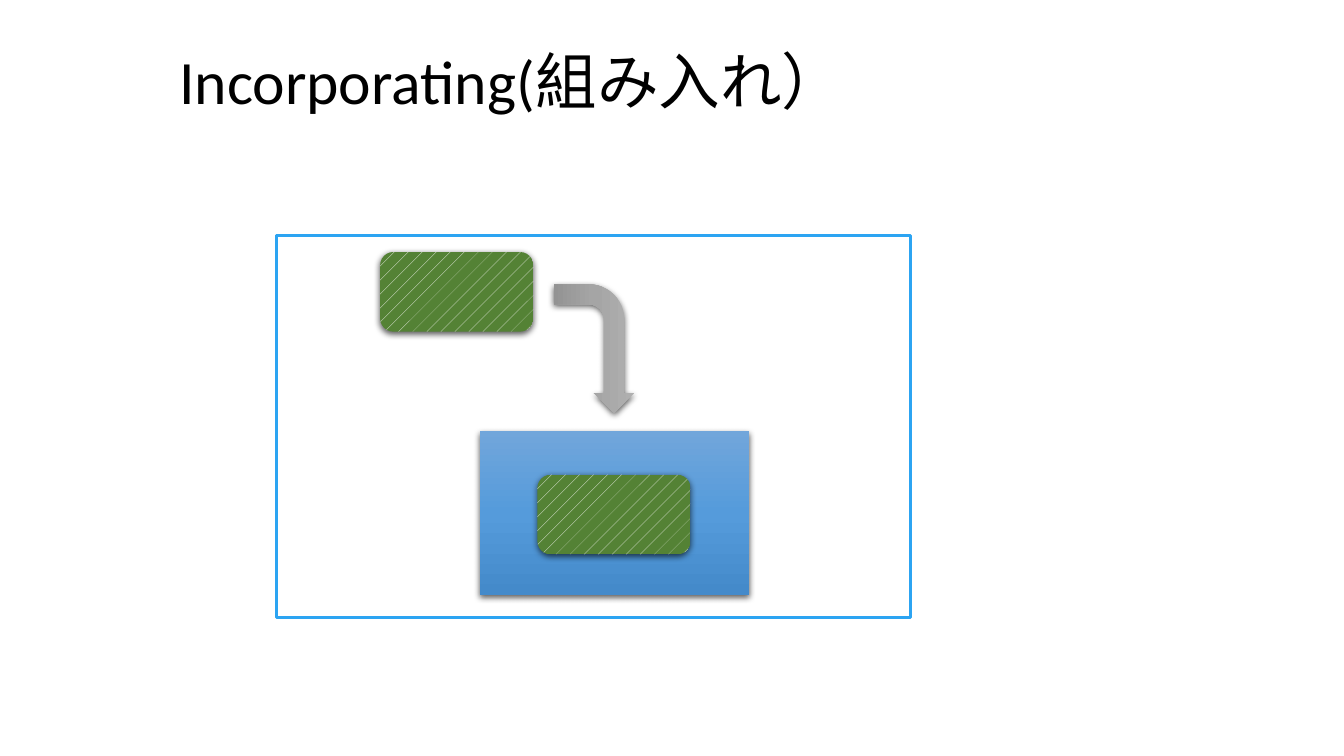
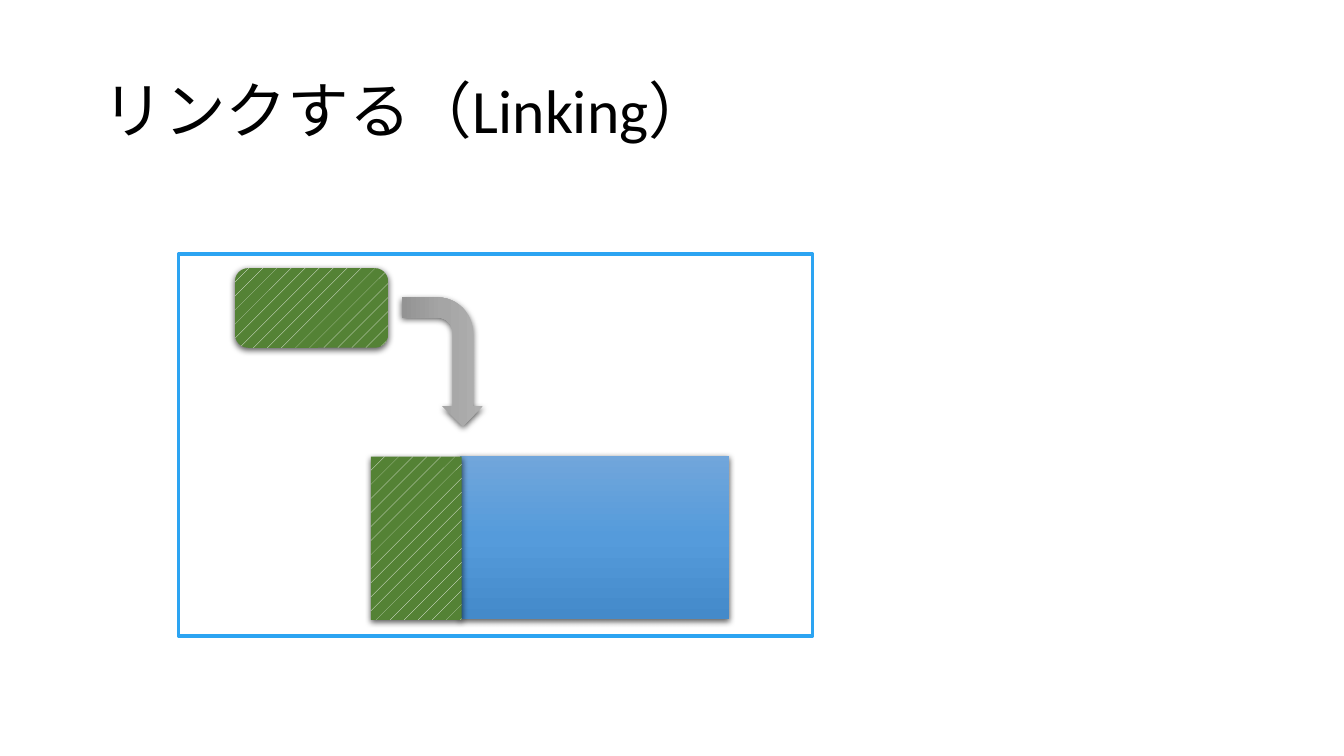
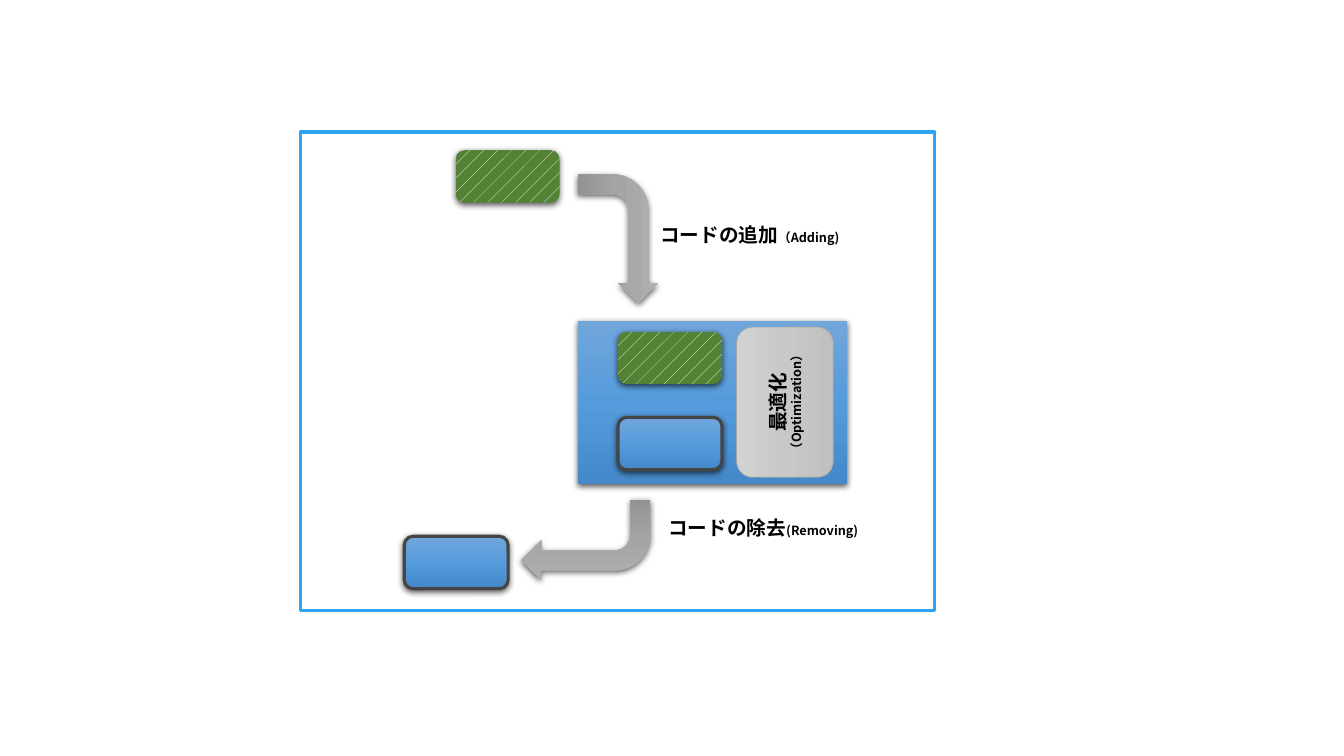
from copy import deepcopy

from lxml.etree import SubElement
from pptx import Presentation
from pptx.dml.color import RGBColor
from pptx.enum.dml import MSO_PATTERN
from pptx.enum.shapes import MSO_SHAPE
from pptx.enum.text import MSO_ANCHOR, MSO_AUTO_SIZE, PP_ALIGN
from pptx.oxml.ns import qn
from pptx.util import Inches, Pt

BLACK = RGBColor(0x00, 0x00, 0x00)
WHITE = RGBColor(0xFF, 0xFF, 0xFF)
FRAME_BLUE = RGBColor(0x2C, 0xA4, 0xF2)
HATCH_GREEN = RGBColor(0x54, 0x82, 0x35)
OUTLINE_GRAY = RGBColor(0x45, 0x45, 0x45)
PANEL_LINE = RGBColor(0xA5, 0xA5, 0xA5)
BLUE_SHADES = (RGBColor(0x71, 0xA6, 0xDB), RGBColor(0x55, 0x9B, 0xDB), RGBColor(0x44, 0x8A, 0xCA))
ARROW_SHADES = (RGBColor(0xAF, 0xAF, 0xAF), RGBColor(0xA5, 0xA5, 0xA5), RGBColor(0x93, 0x93, 0x93))
PANEL_SHADES = (RGBColor(0xD2, 0xD2, 0xD2), RGBColor(0xC8, 0xC8, 0xC8), RGBColor(0xC0, 0xC0, 0xC0))

LATIN_FONT = "Calibri"
JAPANESE_FONT = "Noto Sans CJK JP"
MODULE = (1.52, 0.79)
SMALL_MODULE = (1.03, 0.52)
PROGRAM = (2.67, 1.62)


class DiagramDeck:
    def __init__(self):
        self.deck = Presentation()
        self.deck.slide_width = Inches(13.33)
        self.deck.slide_height = Inches(7.5)
        self.page = None

    def new_page(self):
        self.page = self.deck.slides.add_slide(self.deck.slide_layouts[6])

    def shape(self, kind, left, top, size, line=None, line_width=2.25, shadow=True):
        width, height = size
        shape = self.page.shapes.add_shape(
            kind, Inches(left), Inches(top), Inches(width), Inches(height))
        shape.shadow.inherit = False
        if shadow:
            self.drop_shadow(shape)
        if line is None:
            shape.line.fill.background()
        else:
            shape.line.color.rgb = line
            shape.line.width = Pt(line_width)
        return shape

    def drop_shadow(self, shape):
        effects = shape._element.spPr.find(qn("a:effectLst"))
        shadow = SubElement(effects, qn("a:outerShdw"), blurRad=str(Pt(4.5)),
                            dist=str(Pt(1.5)), dir="5400000", algn="ctr", rotWithShape="0")
        color = SubElement(shadow, qn("a:srgbClr"), val=str(BLACK))
        SubElement(color, qn("a:alpha"), val="63000")

    def shade(self, shape, shades):
        shape.fill.gradient()
        shape.fill.gradient_angle = 270
        stops = shape._element.spPr.find(qn("a:gradFill")).find(qn("a:gsLst"))
        stops.append(deepcopy(stops[0]))
        for index, (stop, color) in enumerate(zip(shape.fill.gradient_stops, shades)):
            stop.position = index / 2
            stop.color.rgb = color

    def frame(self, left, top, height):
        frame = self.shape(MSO_SHAPE.RECTANGLE, left, top, (6.29, height),
                           line=FRAME_BLUE, shadow=False)
        frame.fill.solid()
        frame.fill.fore_color.rgb = WHITE

    def program(self, left, top):
        self.shade(self.shape(MSO_SHAPE.RECTANGLE, left, top, PROGRAM), BLUE_SHADES)

    def hatched(self, left, top, size, kind=MSO_SHAPE.ROUNDED_RECTANGLE):
        fill = self.shape(kind, left, top, size).fill
        fill.patterned()
        fill.pattern = MSO_PATTERN.PERCENT_5
        fill.fore_color.rgb = WHITE
        fill.back_color.rgb = HATCH_GREEN

    def outlined(self, left, top):
        module = self.shape(MSO_SHAPE.ROUNDED_RECTANGLE, left, top, SMALL_MODULE,
                            line=OUTLINE_GRAY)
        self.shade(module, BLUE_SHADES)

    def arrow(self, left, top, rotation=90):
        arrow = self.shape(MSO_SHAPE.BENT_ARROW, left, top, (1.28, 0.8))
        arrow.rotation = rotation
        self.shade(arrow, ARROW_SHADES)

    def run(self, para, text, size, font=JAPANESE_FONT, bold=True):
        span = para.add_run()
        span.text = text
        span.font.size = Pt(size)
        span.font.name = font
        span.font.bold = bold
        span.font.color.rgb = BLACK
        SubElement(span._r.get_or_add_rPr(), qn("a:ea"), typeface=JAPANESE_FONT)

    def text_box(self, left, top, width, height):
        box = self.page.shapes.add_textbox(
            Inches(left), Inches(top), Inches(width), Inches(height))
        return box.text_frame

    def title(self, text, left, top):
        frame = self.text_box(left, top, 11.5, 1.45)
        frame.word_wrap = True
        frame.vertical_anchor = MSO_ANCHOR.MIDDLE
        para = frame.paragraphs[0]
        para.line_spacing = 0.9
        self.run(para, text, 44, LATIN_FONT, bold=False)

    def label(self, japanese, english, left, top, width):
        frame = self.text_box(left, top, width, 0.34)
        frame.word_wrap = False
        frame.auto_size = MSO_AUTO_SIZE.SHAPE_TO_FIT_TEXT
        para = frame.paragraphs[0]
        self.run(para, japanese, 14)
        self.run(para, english, 9)

    def side_panel(self, japanese, english, left, top):
        panel = self.shape(MSO_SHAPE.ROUNDED_RECTANGLE, left, top, (1.49, 0.96),
                           line=PANEL_LINE, line_width=0.5, shadow=False)
        panel.rotation = 270
        self.shade(panel, PANEL_SHADES)
        frame = panel.text_frame
        frame.vertical_anchor = MSO_ANCHOR.MIDDLE
        paras = (frame.paragraphs[0], frame.add_paragraph())
        for para, text, size in zip(paras, (japanese, english), (14, 9)):
            para.alignment = PP_ALIGN.CENTER
            self.run(para, text, size)


def incorporating(diagram):
    diagram.new_page()
    diagram.frame(2.74, 2.34, 3.79)
    diagram.title("Incorporating(組み入れ）", 1.68, 0.11)
    diagram.program(4.76, 4.28)
    diagram.arrow(5.25, 3.06)
    diagram.hatched(3.77, 2.5, MODULE)
    diagram.hatched(5.33, 4.71, MODULE)


def linking(diagram):
    diagram.new_page()
    diagram.frame(1.77, 2.52, 3.79)
    diagram.title("リンクする（Linking）", 0.92, 0.4)
    diagram.program(4.56, 4.52)
    diagram.arrow(3.75, 3.19)
    diagram.hatched(2.33, 2.66, MODULE)
    diagram.hatched(3.68, 4.53, (0.9, 1.62), MSO_SHAPE.RECTANGLE)


def modifying(diagram):
    diagram.new_page()
    diagram.frame(2.98, 1.31, 4.75)
    diagram.program(5.73, 3.18)
    diagram.arrow(5.49, 1.97)
    diagram.arrow(5.17, 4.96, rotation=180)
    diagram.hatched(4.52, 1.49, SMALL_MODULE)
    diagram.hatched(6.13, 3.29, SMALL_MODULE)
    diagram.outlined(6.13, 4.14)
    diagram.side_panel("最適化", "（Optimization）", 7.04, 3.51)
    diagram.label("コードの追加", "（Adding)", 6.45, 2.16, 2.04)
    diagram.label("コードの除去", "(Removing)", 6.53, 5.07, 2.17)
    diagram.outlined(4.01, 5.32)


diagram = DiagramDeck()
incorporating(diagram)
linking(diagram)
modifying(diagram)
diagram.deck.save("out.pptx")
